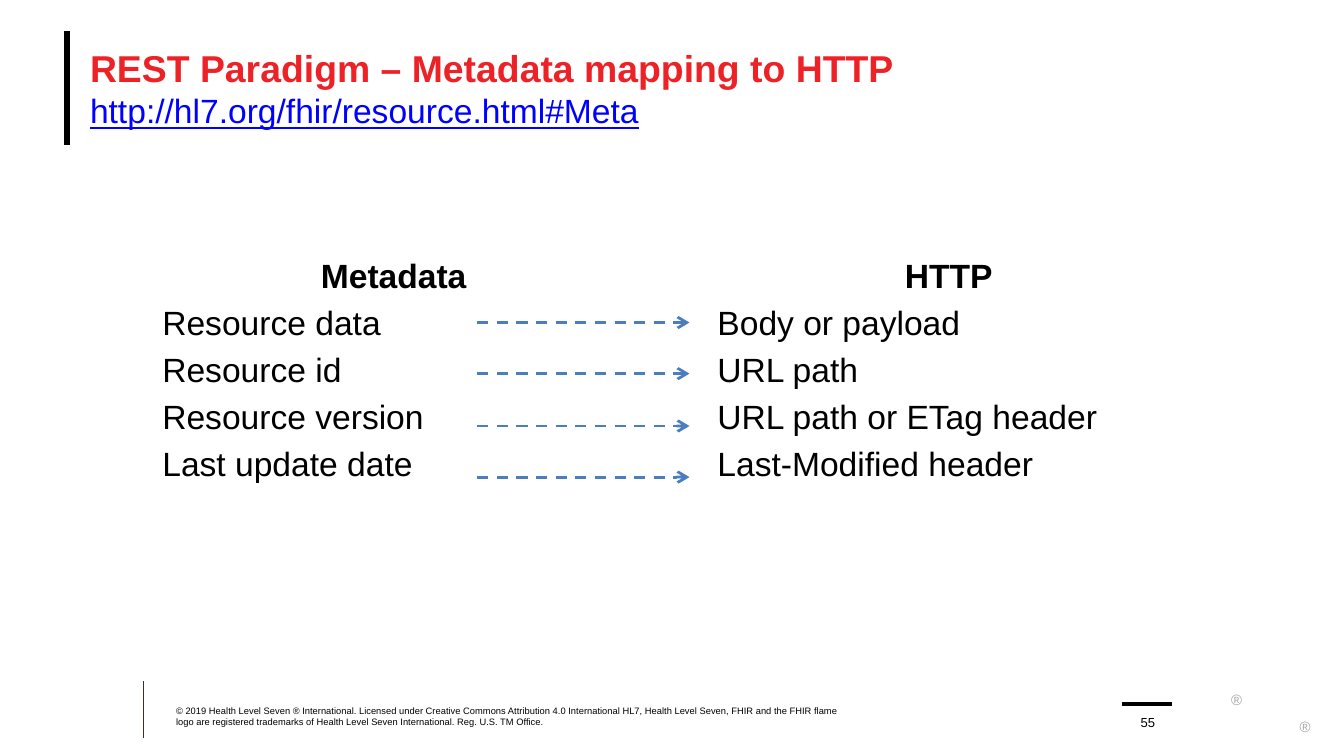
from dataclasses import dataclass

from lxml.etree import SubElement
from pptx import Presentation
from pptx.dml.color import RGBColor
from pptx.enum.dml import MSO_LINE_DASH_STYLE as Dash
from pptx.enum.shapes import MSO_CONNECTOR as Connector
from pptx.enum.text import MSO_ANCHOR as Anchor, PP_ALIGN as Align
from pptx.oxml.ns import qn
from pptx.util import Pt

PX = 9144  # 100 px to the inch


@dataclass(frozen=True)
class Theme:
    font: str = "Arial"
    black: str = "000000"
    red: str = "EC2227"
    link: str = "0000FF"
    grey: str = "A6A6A6"
    blue: str = "4B7EBC"
    rule: str = "3D3029"
    title: int = 20
    body: int = 18
    mark: int = 8
    number: int = 7
    legal: int = 5


theme = Theme()
deck = Presentation()
deck.slide_width = 1000 * PX
deck.slide_height = deck.slide_width * 9 // 16
page = deck.slides.add_slide(deck.slide_layouts[6])


def add_text(rect, lines, size, color=theme.black, anchor=Anchor.TOP, insets=(0, 0, 0, 0)):
    """Add a text box with one paragraph per line and return its frame."""
    box = page.shapes.add_textbox(*(n * PX for n in rect))
    frame = box.text_frame
    frame.word_wrap = True
    frame.vertical_anchor = anchor
    (frame.margin_left, frame.margin_top,
     frame.margin_right, frame.margin_bottom) = (n * PX for n in insets)
    frame.text = "\n".join(lines)
    for para in frame.paragraphs:
        para.font.name = theme.font
        para.font.size = Pt(size)
        para.font.color.rgb = RGBColor.from_string(color)
    return frame


def add_line(x1, y1, x2, y2, color, width):
    line = page.shapes.add_connector(Connector.STRAIGHT, *(n * PX for n in (x1, y1, x2, y2)))
    line.line.color.rgb = RGBColor.from_string(color)
    line.line.width = Pt(width)
    SubElement(line._element.spPr, qn("a:effectLst"))
    return line


# Page frame
add_line(107, 507, 107, 549, theme.rule, 0.5)
add_line(50, 23, 50, 108, theme.black, 3.25)
add_line(835, 524, 872, 524, theme.black, 2)
for left, top in ((916, 510), (967, 530)):
    mark = add_text((left, top, 11, 9), ["®"], theme.mark, theme.grey, insets=(0, 5, 0, 5))
    mark.word_wrap = False

# Title with the address below it
title = add_text((67, 23, 883, 85), ["REST Paradigm – Metadata mapping to HTTP"],
                 theme.title, theme.red, Anchor.MIDDLE)
heading = title.paragraphs[0]
heading.runs[0].font.bold = True
heading.add_line_break()
address = heading.add_run()
address.text = "http://hl7.org/fhir/resource.html#Meta"
address.font.size = Pt(theme.body)
address.font.color.rgb = RGBColor.from_string(theme.link)
address.font.underline = True

# Mapping columns
columns = (
    (111, ["Metadata", "Resource data", "Resource id", "Resource version", "Last update date"]),
    (524, ["HTTP", "Body or payload", "URL path", "URL path or ETag header",
           "Last-Modified header"]),
)
for left, lines in columns:
    column = add_text((left, 185, 364, 236), lines, theme.body, insets=(10, 5, 10, 5))
    header, *entries = column.paragraphs
    header.alignment = Align.CENTER
    header.font.bold = True
    for entry in entries:
        entry.space_before = Pt(theme.body * 0.2)

for y in (240, 278, 317, 355):
    arrow = add_line(355, y, 513, y, theme.blue, 1.5)
    arrow.line.dash_style = Dash.DASH
    SubElement(arrow.line._get_or_add_ln(), qn("a:tailEnd"), type="arrow")

# Footer
number = add_text((839, 524, 30, 19), ["55"], theme.number, anchor=Anchor.BOTTOM)
number.paragraphs[0].alignment = Align.CENTER
add_text((131, 524, 495, 17), [
    "© 2019 Health Level Seven ® International. Licensed under Creative Commons "
    "Attribution 4.0 International HL7, Health Level Seven, FHIR and the FHIR flame "
    "logo are registered trademarks of Health Level Seven International. "
    "Reg. U.S. TM Office."
], theme.legal, anchor=Anchor.BOTTOM)

deck.save("out.pptx")
